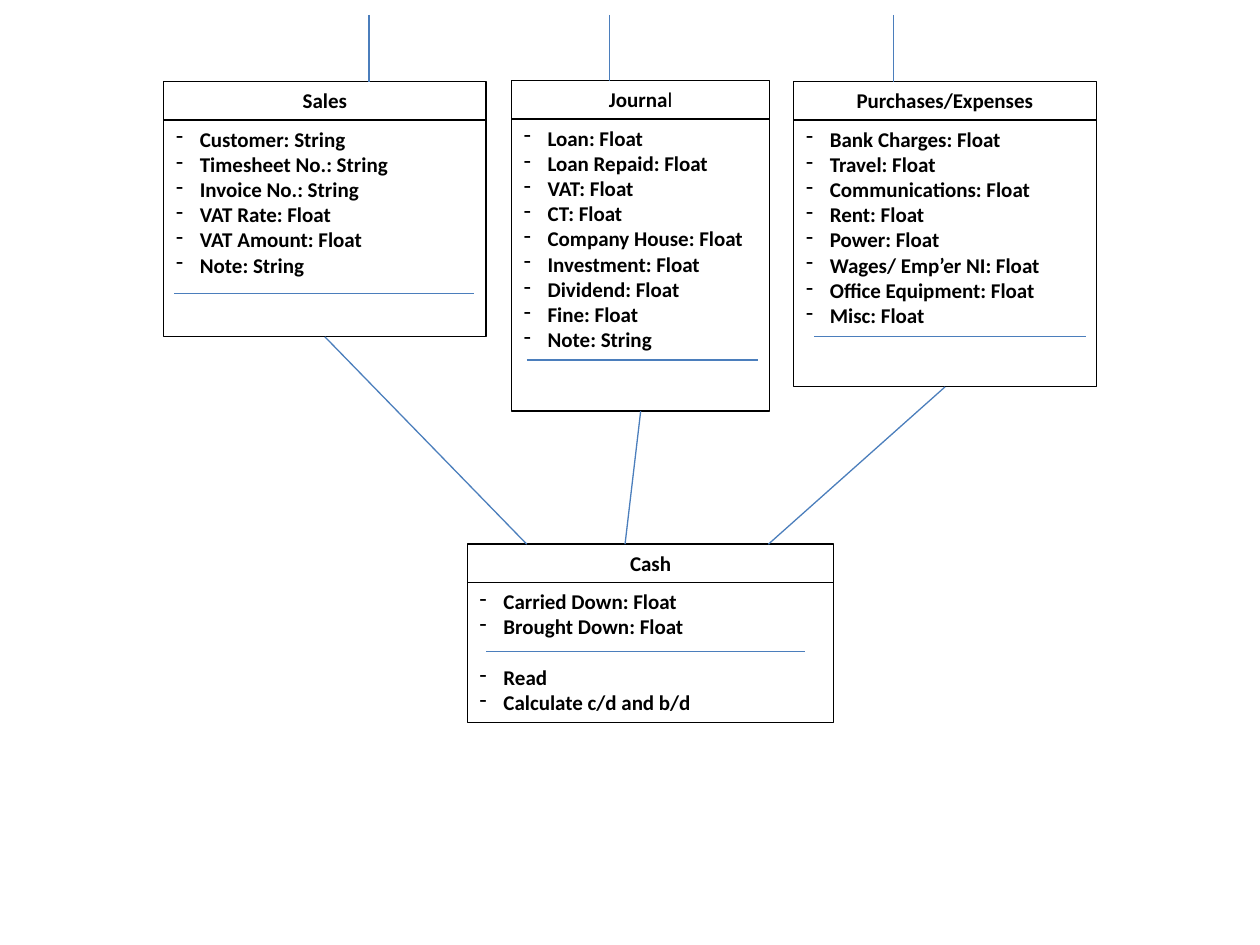
"""Build a class diagram of ledgers that feed the cash account."""
from dataclasses import dataclass

from lxml.etree import SubElement
from pptx import Presentation
from pptx.dml.color import RGBColor
from pptx.enum.shapes import MSO_CONNECTOR, MSO_SHAPE
from pptx.enum.text import MSO_ANCHOR, PP_ALIGN
from pptx.oxml.ns import qn
from pptx.util import Cm, Pt


@dataclass(frozen=True)
class Theme:
    font: str = "Calibri"
    text_size: Pt = Pt(12)
    line_width: Pt = Pt(0.75)
    ink: RGBColor = RGBColor(0, 0, 0)
    connector: RGBColor = RGBColor(0x4B, 0x7E, 0xBC)


THEME = Theme()
HEADER_HEIGHT = 0.77
STEM_TOP = 0.3
INDENT = Cm(0.48)
GROUP_GAP = Pt(14.65)

CASH = {
    "title": ["Cash"], "box": (9.42, 10.97, 7.39, 2.82), "divider": (9.8, 16.23, 13.13),
    "groups": [["Carried Down: Float", "Brought Down: Float"],
               ["Read", "Calculate c/d and b/d"]],
}
LEDGERS = [
    {"title": ["Sales"], "box": (3.3, 1.65, 6.5, 4.37), "divider": (3.51, 9.55, 5.92),
     "stem": 7.44, "cash_end": 10.62,
     "groups": [["Customer: String", "Timesheet No.: String", "Invoice No.: String",
                 "VAT Rate: Float", "VAT Amount: Float", "Note: String"]]},
    {"title": ["Journa", "l"], "box": (10.31, 1.63, 5.21, 5.89), "divider": (10.62, 15.29, 7.26),
     "stem": 12.29, "cash_end": 12.6,
     "groups": [["Loan: Float", "Loan Repaid: Float", "VAT: Float", "CT: Float",
                 "Company House: Float", "Investment: Float", "Dividend: Float",
                 "Fine: Float", "Note: String"]]},
    {"title": ["Purchases/Expenses"], "box": (16, 1.65, 6.1, 5.38), "divider": (16.41, 21.89, 6.78),
     "stem": 18.01, "cash_end": 15.49,
     "groups": [["Bank Charges: Float", "Travel: Float", "Communications: Float",
                 "Rent: Float", "Power: Float", "Wages/ Emp’er NI: Float",
                 "Office Equipment: Float", "Misc: Float"]]},
]


def add_box(slide, left, top, width, height):
    shape = slide.shapes.add_shape(MSO_SHAPE.RECTANGLE, Cm(left), Cm(top), Cm(width), Cm(height))
    shape.shadow.inherit = False
    shape.fill.background()
    shape.line.color.rgb = THEME.ink
    shape.line.width = THEME.line_width
    shape.text_frame.word_wrap = True
    shape.text_frame.vertical_anchor = MSO_ANCHOR.TOP
    return shape


def add_run(paragraph, text, bold=True):
    run = paragraph.add_run()
    run.text = text
    run.font.name = THEME.font
    run.font.size = THEME.text_size
    run.font.bold = bold
    run.font.color.rgb = THEME.ink


def add_dash(paragraph):
    paragraph.alignment = PP_ALIGN.LEFT
    properties = paragraph._p.get_or_add_pPr()
    properties.set("marL", str(INDENT))
    properties.set("indent", str(-INDENT))
    SubElement(properties, qn("a:buFontTx"))
    SubElement(properties, qn("a:buChar")).set("char", "-")


def add_line(slide, x1, y1, x2, y2):
    line = slide.shapes.add_connector(MSO_CONNECTOR.STRAIGHT, Cm(x1), Cm(y1), Cm(x2), Cm(y2))
    line.line.color.rgb = THEME.connector
    line.line.width = THEME.line_width
    SubElement(line._element.spPr, qn("a:effectLst"))
    return line


def add_entity(slide, entity):
    left, top, width, body_height = entity["box"]
    header = add_box(slide, left, top, width, HEADER_HEIGHT)
    title = header.text_frame.paragraphs[0]
    title.alignment = PP_ALIGN.CENTER
    for index, text in enumerate(entity["title"]):
        add_run(title, text, bold=index == 0)

    body = add_box(slide, left, top + HEADER_HEIGHT, width, body_height)
    paragraph = None
    for group_index, group in enumerate(entity["groups"]):
        for index, text in enumerate(group):
            frame = body.text_frame
            paragraph = frame.paragraphs[0] if paragraph is None else frame.add_paragraph()
            if group_index and index == 0:
                paragraph.space_before = GROUP_GAP
            add_dash(paragraph)
            add_run(paragraph, text)

    start, end, y = entity["divider"]
    add_line(slide, start, y, end, y)
    return body


def main():
    presentation = Presentation()
    presentation.slide_width, presentation.slide_height = Cm(25.4), Cm(19.05)
    slide = presentation.slides.add_slide(presentation.slide_layouts[6])
    add_entity(slide, CASH)
    cash_top = CASH["box"][1]
    for ledger in LEDGERS:
        body = add_entity(slide, ledger)
        left, top, width, height = ledger["box"]
        add_line(slide, ledger["stem"], STEM_TOP, ledger["stem"], top)
        link = add_line(slide, left + width / 2, top + HEADER_HEIGHT + height,
                        ledger["cash_end"], cash_top)
        link.begin_connect(body, 2)
    presentation.save("out.pptx")


if __name__ == "__main__":
    main()
